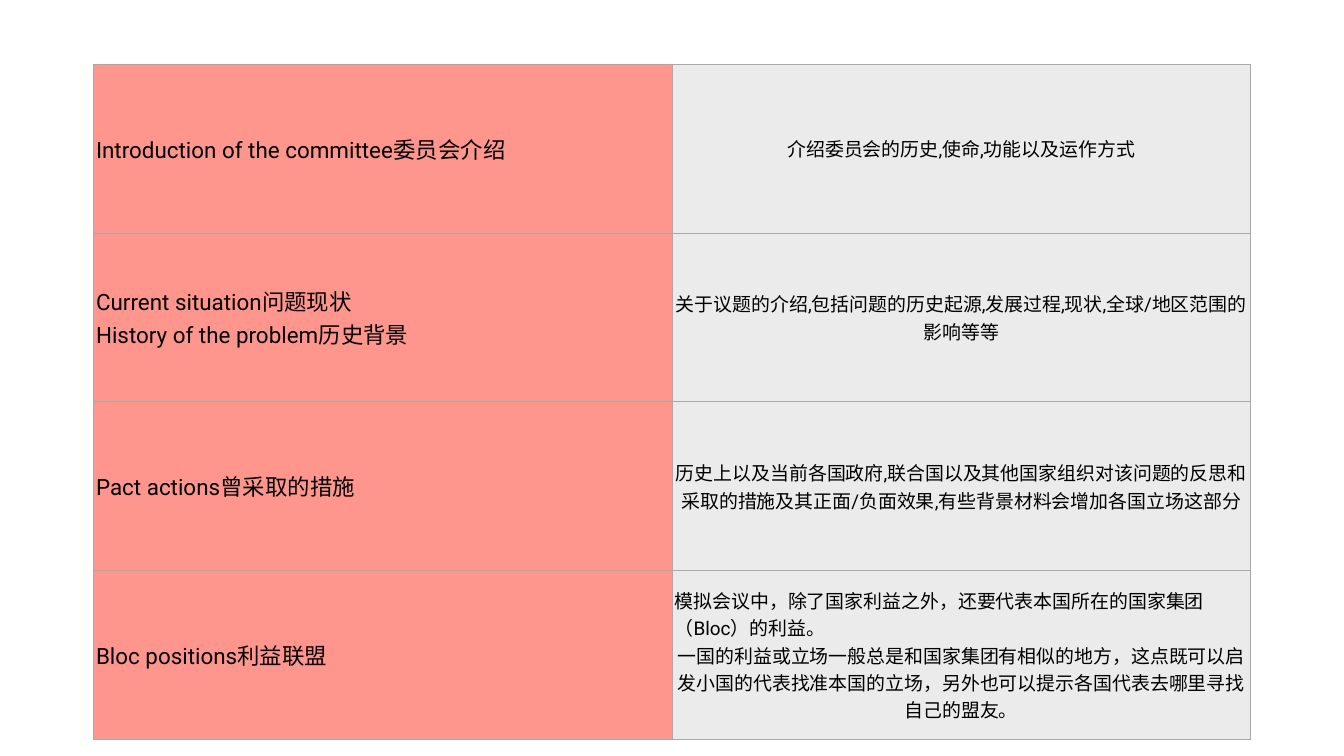
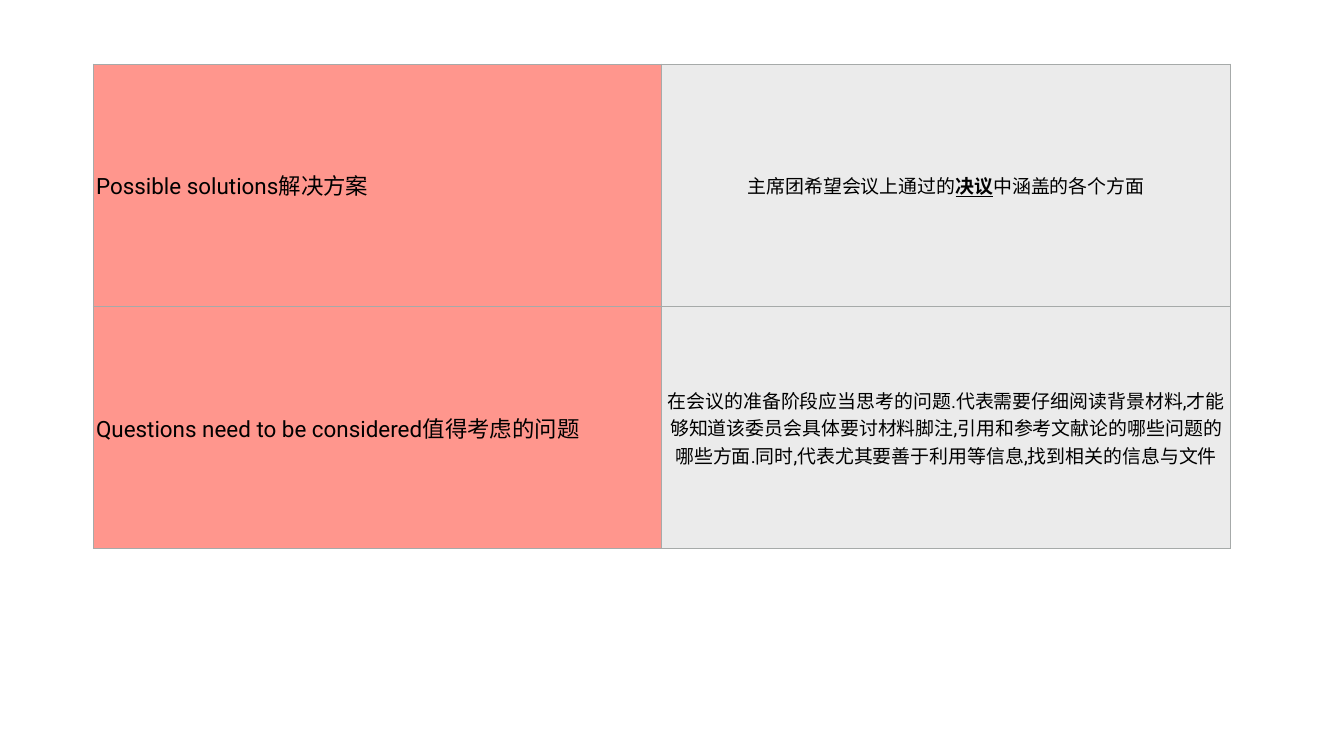
import pptx
import pptx.util
from lxml import etree
from pptx.dml.color import RGBColor
from pptx.enum.text import MSO_ANCHOR, PP_ALIGN
from pptx.oxml.ns import qn
from pptx.util import Pt

COLOURS = {"section": "FF968D", "detail": "EBEBEB", "rule": "A6AAA9", "text": "000000"}
LATIN, CHINESE = "Roboto", "Noto Sans CJK SC"
LEFT, TOP = 133.2, 91.4
CELL_FORMAT = {"vertical_anchor": MSO_ANCHOR.MIDDLE}
CELL_FORMAT.update({f"margin_{side}": Pt(4) for side in ("left", "right", "top", "bottom")})
COLUMN_STYLES = (
    {"fill": "section", "size": 32, "align": PP_ALIGN.LEFT},
    {"fill": "detail", "size": 27, "align": PP_ALIGN.CENTER},
)
KEYWORD = {"bold": True, "underline": True}

# A cell is a string, or a list of (alignment, runs); a run is (text, format).
COMMITTEE_GUIDE = [
    ("Introduction of the committee委员会介绍", "介绍委员会的历史,使命,功能以及运作方式"),
    ("Current situation问题现状\vHistory of the problem历史背景",
     "关于议题的介绍,包括问题的历史起源,发展过程,现状,全球/地区范围的影响等等"),
    ("Pact actions曾采取的措施",
     "历史上以及当前各国政府,联合国以及其他国家组织对该问题的反思和采取的措施"
     "及其正面/负面效果,有些背景材料会增加各国立场这部分"),
    ("Bloc positions利益联盟", [
        (PP_ALIGN.LEFT,
         [("模拟会议中，除了国家利益之外，还要代表本国所在的国家集团（Bloc）的利益。", {})]),
        (PP_ALIGN.CENTER,
         [("一国的利益或立场一般总是和国家集团有相似的地方，这点既可以启发小国的代表"
           "找准本国的立场，另外也可以提示各国代表去哪里寻找自己的盟友。", {})]),
    ]),
]
SOLUTION_GUIDE = [
    ("Possible solutions解决方案", [
        (PP_ALIGN.CENTER, [("主席团希望会议上通过的", {"name": CHINESE}),
                           ("决议", {"name": CHINESE, **KEYWORD}),
                           ("中涵盖的各个方面", {"name": CHINESE})]),
    ]),
    ("Questions need to be considered值得考虑的问题",
     "在会议的准备阶段应当思考的问题.代表需要仔细阅读背景材料,才能够知道该委员会"
     "具体要讨材料脚注,引用和参考文献论的哪些问题的哪些方面.同时,代表尤其要善于"
     "利用等信息,找到相关的信息与文件"),
]


def apply(target, values):
    for name, value in values.items():
        setattr(target, name, value)


class GuideDeck:
    def __init__(self):
        self.deck = pptx.Presentation()
        apply(self.deck, {"slide_width": Pt(1920), "slide_height": Pt(1080)})
        self.slide = None

    def new_slide(self):
        self.slide = self.deck.slides.add_slide(self.deck.slide_layouts[6])

    def guide_table(self, topics, column_width, row_height):
        table = self.slide.shapes.add_table(
            len(topics), 2, Pt(LEFT), Pt(TOP),
            Pt(2 * column_width), Pt(len(topics) * row_height)).table
        apply(table, {"first_row": False, "horz_banding": False})
        for column in table.columns:
            column.width = Pt(column_width)
        for row, topic in zip(table.rows, topics):
            row.height = Pt(row_height)
            for cell, content, style in zip(row.cells, topic, COLUMN_STYLES):
                self.cell(cell, content, style)

    def cell(self, cell, content, style):
        apply(cell, CELL_FORMAT)
        self.borders(cell)
        cell.fill.solid()
        cell.fill.fore_color.rgb = RGBColor.from_string(COLOURS[style["fill"]])
        if isinstance(content, str):
            content = [(style["align"], [(content, {})])]
        for index, (alignment, runs) in enumerate(content):
            frame = cell.text_frame
            paragraph = frame.add_paragraph() if index else frame.paragraphs[0]
            paragraph.alignment = alignment
            for text, values in runs:
                self.text(paragraph, text, {"name": LATIN, "size": Pt(style["size"]), **values})

    def text(self, paragraph, text, values):
        """Add text to a paragraph, with a line break at each vertical tab."""
        for index, line in enumerate(text.split("\v")):
            if index:
                paragraph.add_line_break()
            run = paragraph.add_run()
            run.text = line
            apply(run.font, values)
            run.font.color.rgb = RGBColor.from_string(COLOURS["text"])
            etree.SubElement(run.font._element, qn("a:ea"), typeface=CHINESE)

    def borders(self, cell):
        properties = cell._tc.get_or_add_tcPr()
        for edge in ("lnL", "lnR", "lnT", "lnB"):
            line = etree.SubElement(properties, qn(f"a:{edge}"), w=str(Pt(1)))
            fill = etree.SubElement(line, qn("a:solidFill"))
            etree.SubElement(fill, qn("a:srgbClr"), val=COLOURS["rule"])


def main():
    guide = GuideDeck()
    for topics, column_width, row_height in (
        (COMMITTEE_GUIDE, 826.6, 241.2),
        (SOLUTION_GUIDE, 812.2, 346.3),
    ):
        guide.new_slide()
        guide.guide_table(topics, column_width, row_height)
    guide.deck.save("out.pptx")


if __name__ == "__main__":
    main()
